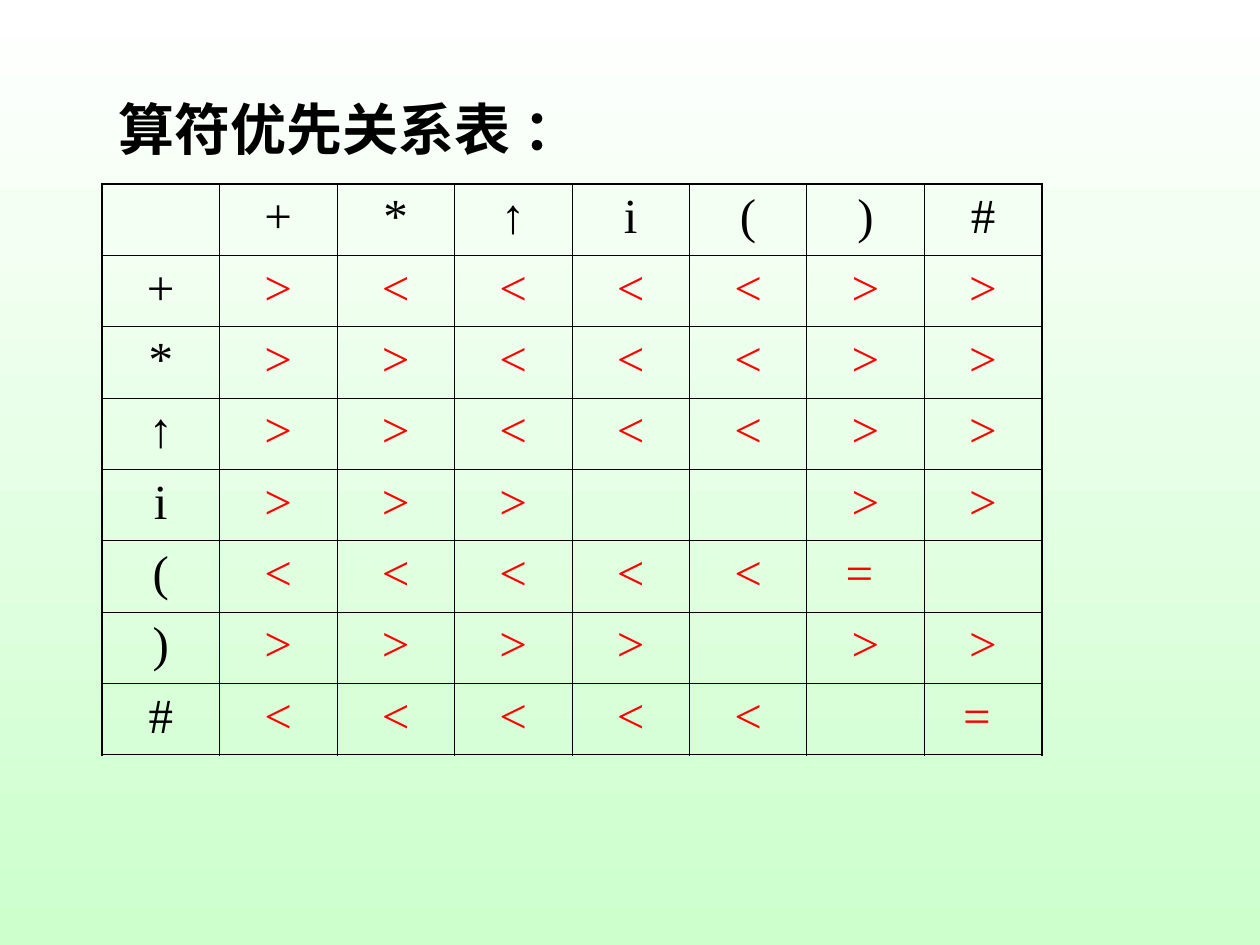
from dataclasses import dataclass

from lxml import etree
from pptx import Presentation
from pptx import util as u
from pptx.dml.color import RGBColor
from pptx.enum import text
from pptx.oxml import ns

SCALE = 914400 / 126


def px(n):
    return u.Emu(round(n * SCALE))


@dataclass(frozen=True)
class Theme:
    font: str = "Times New Roman"
    ink: str = "000000"
    mark: str = "FF0000"
    top: str = "FFFFFF"
    base: str = "CCFFCC"
    head: int = 32
    body: int = 28
    thin: float = 0.45
    thick: float = 1.08


class Deck:
    def __init__(self, theme):
        self.theme = theme
        self.prs = Presentation()
        self.prs.slide_width, self.prs.slide_height = px(1260), px(945)
        self.slide = self.prs.slides.add_slide(self.prs.slide_layouts[5])

    def back(self):
        fill = self.slide.background.fill
        fill.gradient()
        fill.gradient_angle = 270
        for stop, tone in zip(fill.gradient_stops, (self.theme.top, self.theme.base)):
            stop.color.rgb = RGBColor.from_string(tone)

    def run(self, para, words, size, tone, bold=False):
        para.alignment = text.PP_ALIGN.CENTER
        run = para.add_run()
        run.text = words
        font = run.font
        font.name, font.size, font.bold = self.theme.font, u.Pt(size), bold
        font.color.rgb = RGBColor.from_string(tone)

    def title(self, words, x, y, w, h):
        box = self.slide.shapes.title
        box.left, box.top, box.width, box.height = map(px, (x, y, w, h))
        frame = box.text_frame
        frame.word_wrap = True
        frame.auto_size = text.MSO_AUTO_SIZE.NONE
        frame.vertical_anchor = text.MSO_ANCHOR.MIDDLE
        self.run(frame.paragraphs[0], words, self.theme.head, self.theme.ink, True)

    def edge(self, cell, sides):
        # Border lines come before the fill in the cell properties
        props = cell._tc.get_or_add_tcPr()
        for i, (side, outer) in enumerate(sides.items()):
            width = self.theme.thick if outer else self.theme.thin
            line = etree.Element(ns.qn(f"a:ln{side}"), w=str(u.Pt(width)))
            fill = etree.SubElement(line, ns.qn("a:solidFill"))
            etree.SubElement(fill, ns.qn("a:srgbClr"), val=self.theme.ink)
            props.insert(i, line)

    def table(self, rows, x, y, w, h):
        last, end = len(rows) - 1, len(rows[0]) - 1
        grid = self.slide.shapes.add_table(
            last + 1, end + 1, px(x), px(y), px(w), px(h)).table
        grid.first_row = grid.horz_banding = False
        for r, row in enumerate(rows):
            for c, sign in enumerate(row):
                cell = grid.cell(r, c)
                cell.fill.background()
                self.edge(cell, {"L": c == 0, "R": c == end,
                                 "T": r == 0, "B": r == last})
                if sign:
                    tone = self.theme.mark if r and c else self.theme.ink
                    self.run(cell.text_frame.paragraphs[0], sign,
                             self.theme.body, tone, sign == "↑")

    def save(self):
        self.prs.save("out.pptx")


# Operators label both axes; a dot stands for an undefined relation
SIGNS = "+*↑i()#"
RANKS = ("><<<<>>", ">><<<>>", ">><<<>>", ">>>..>>",
         "<<<<<=.", ">>>>.>>", "<<<<<.=")
CELLS = {".": "", "=": "= "}


def main():
    deck = Deck(Theme())
    deck.back()

    # Heading
    deck.title("算符优先关系表 ：", 82, 88, 535, 81)

    # Precedence table
    rows = [["", *SIGNS]]
    for sign, ranks in zip(SIGNS, RANKS):
        rows.append([sign, *(CELLS.get(rank, rank) for rank in ranks)])
    deck.table(rows, 102, 184, 940, 571)

    deck.save()


if __name__ == "__main__":
    main()
